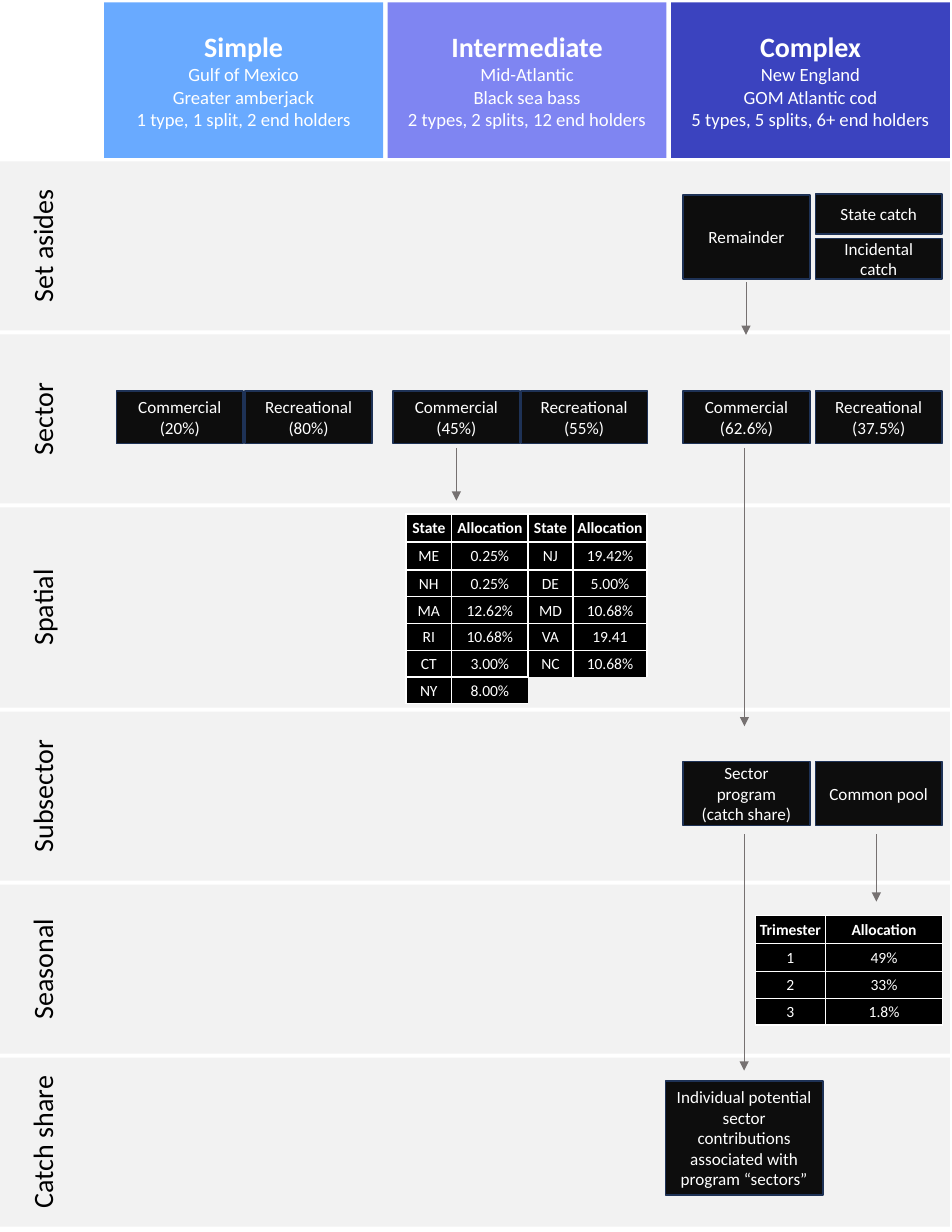
from lxml.etree import SubElement
from pptx import Presentation
from pptx.dml.color import RGBColor
from pptx.enum.shapes import MSO_CONNECTOR, MSO_SHAPE
from pptx.enum.text import MSO_ANCHOR, PP_ALIGN
from pptx.oxml.ns import qn
from pptx.util import Pt

FONT = "Calibri"
WHITE = RGBColor(0xFF, 0xFF, 0xFF)
BLACK = RGBColor(0x00, 0x00, 0x00)
SKY = RGBColor(0x69, 0xAA, 0xFF)
VIOLET = RGBColor(0x7F, 0x85, 0xF2)
INDIGO = RGBColor(0x3B, 0x43, 0xBF)
BAND = RGBColor(0xF2, 0xF2, 0xF2)
BOX = RGBColor(0x0D, 0x0D, 0x0D)
BOX_LINE = RGBColor(0x1E, 0x32, 0x56)
ARROW = RGBColor(0x76, 0x71, 0x71)

BAND_WIDTH = 610.6
BAND_GAP = 2.5
BOX_WIDTH = 81.4
SECTOR_TOP = 251.3
SUBSECTOR_TOP = 489.6
COMPLEX_LEFT, COMPLEX_RIGHT = 439.2, 524.2

HEADERS = [
    (SKY, ["Simple", "Gulf of Mexico", "Greater amberjack", "1 type, 1 split, 2 end holders"]),
    (VIOLET, ["Intermediate", "Mid-Atlantic", "Black sea bass", "2 types, 2 splits, 12 end holders"]),
    (INDIGO, ["Complex", "New England", "GOM Atlantic cod", "5 types, 5 splits, 6+ end holders"]),
]
BANDS = [("Set asides", 108.7), ("Sector", 108.7), ("Spatial", 128.9),
         ("Subsector", 108.7), ("Seasonal", 108.7), ("Catch share", 108.7)]
SECTORS = [(74.9, "Commercial (20%)"), (157.7, "Recreational (80%)"),
           (252.7, "Commercial (45%)"), (334.8, "Recreational (55%)"),
           (COMPLEX_LEFT, "Commercial (62.6%)"), (COMPLEX_RIGHT, "Recreational (37.5%)")]
BOXES = [
    (COMPLEX_LEFT, 125.3, BOX_WIDTH, 54, "Remainder"),
    (COMPLEX_RIGHT, 124.6, BOX_WIDTH, 26, "State catch"),
    (COMPLEX_RIGHT, 153.3, BOX_WIDTH, 26, "Incidental catch"),
    (COMPLEX_LEFT, SUBSECTOR_TOP, BOX_WIDTH, 41, "Sector program (catch share)"),
    (COMPLEX_RIGHT, SUBSECTOR_TOP, BOX_WIDTH, 41, "Common pool"),
    (427.7, 694.8, 101.4, 73.6,
     "Individual potential sector contributions associated with program “sectors”"),
]
ARROWS = [(293.4, 288, 321.8), (479.6, 181.4, 215.3), (478.6, 288, 466.9),
          (478.4, 536.4, 688.3), (563.4, 536.4, 579.6)]
STATES = [
    ["State", "Allocation", "State", "Allocation"],
    ["ME", "0.25%", "NJ", "19.42%"],
    ["NH", "0.25%", "DE", "5.00%"],
    ["MA", "12.62%", "MD", "10.68%"],
    ["RI", "10.68%", "VA", "19.41"],
    ["CT", "3.00%", "NC", "10.68%"],
    ["NY", "8.00%", "", ""],
]
TRIMESTERS = [["Trimester", "Allocation"], ["1", "49%"], ["2", "33%"], ["3", "1.8%"]]


def format_paragraph(paragraph, size, color=WHITE, bold=False):
    """Centre a paragraph and set its font."""
    paragraph.alignment = PP_ALIGN.CENTER
    font = paragraph.font
    font.name, font.size, font.bold = FONT, Pt(size), bold
    font.color.rgb = color


def add_rectangle(slide, left, top, width, height, fill):
    """Add a plain filled rectangle without an outline."""
    shape = slide.shapes.add_shape(
        MSO_SHAPE.RECTANGLE, Pt(left), Pt(top), Pt(width), Pt(height))
    shape.shadow.inherit = False
    shape.fill.solid()
    shape.fill.fore_color.rgb = fill
    shape.line.fill.background()
    return shape


def add_header(slide, left, fill, lines):
    """Add a column header with a bold heading over its details."""
    frame = add_rectangle(slide, left, 1.5, 179.3, 100, fill).text_frame
    frame.text = "\n".join(lines)
    for index, paragraph in enumerate(frame.paragraphs):
        format_paragraph(paragraph, 12 if index else 18, bold=index == 0)


def add_band(slide, top, height, label):
    """Add a grey band with a label turned to read upwards."""
    add_rectangle(slide, 0, top, BAND_WIDTH, height, BAND)
    text_height = 28.8
    text_box = slide.shapes.add_textbox(
        Pt(27 - height / 2), Pt(top + (height - text_height) / 2), Pt(height), Pt(text_height))
    text_box.rotation = 270
    frame = text_box.text_frame
    frame.word_wrap = True
    frame.text = label
    format_paragraph(frame.paragraphs[0], 18, BLACK)


def add_box(slide, left, top, width, height, text):
    """Add a dark outlined box for one allocation."""
    shape = add_rectangle(slide, left, top, width, height, BOX)
    shape.line.color.rgb = BOX_LINE
    shape.line.width = Pt(1)
    shape.text_frame.text = text
    format_paragraph(shape.text_frame.paragraphs[0], 11)


def add_arrow(slide, x, top, bottom):
    """Add a thin arrow pointing down."""
    connector = slide.shapes.add_connector(
        MSO_CONNECTOR.STRAIGHT, Pt(x), Pt(top), Pt(x), Pt(bottom))
    connector.line.color.rgb = ARROW
    connector.line.width = Pt(0.5)
    SubElement(connector.line._get_or_add_ln(), qn("a:tailEnd"), type="triangle")
    SubElement(connector._element.spPr, qn("a:effectLst"))


def format_cell(cell, text, bold):
    """Fill a cell, or blend an empty one into the band."""
    cell.margin_left = cell.margin_top = cell.margin_right = Pt(0.72)
    cell.margin_bottom = 0
    cell.vertical_anchor = MSO_ANCHOR.MIDDLE
    cell.text = text
    format_paragraph(cell.text_frame.paragraphs[0], 10, bold=bold)
    if not text:
        properties = cell._tc.get_or_add_tcPr()
        for side in ("a:lnL", "a:lnR", "a:lnT", "a:lnB"):
            SubElement(SubElement(properties, qn(side)), qn("a:noFill"))
    cell.fill.solid()
    cell.fill.fore_color.rgb = BLACK if text else BAND


def add_allocation_table(slide, left, top, widths, rows):
    """Add a black table with a bold header row."""
    heights = [18, 18] + [17.2] * (len(rows) - 2)
    table = slide.shapes.add_table(
        len(rows), len(widths), Pt(left), Pt(top), Pt(sum(widths)), Pt(sum(heights))).table
    table.horz_banding = False
    for column, width in zip(table.columns, widths):
        column.width = Pt(width)
    for row_index, (row, height) in enumerate(zip(table.rows, heights)):
        row.height = Pt(height)
        for cell, text in zip(row.cells, rows[row_index]):
            format_cell(cell, text, row_index == 0)


def main():
    """Build the allocation comparison slide."""
    presentation = Presentation()
    presentation.slide_width, presentation.slide_height = Pt(612), Pt(792)
    slide = presentation.slides.add_slide(presentation.slide_layouts[6])
    for index, (fill, lines) in enumerate(HEADERS):
        add_header(slide, 67 + index * 182.2, fill, lines)
    top = 103.7
    for label, height in BANDS:
        add_band(slide, top, height, label)
        top += height + BAND_GAP
    for left, text in SECTORS:
        add_box(slide, left, SECTOR_TOP, BOX_WIDTH, 34, text)
    for box in BOXES:
        add_box(slide, *box)
    add_allocation_table(slide, 260.9, 330.5, [29.5, 49, 29, 47.5], STATES)
    add_allocation_table(slide, 485.6, 588.5, [45, 75.4], TRIMESTERS)
    for arrow in ARROWS:
        add_arrow(slide, *arrow)
    presentation.save("out.pptx")


if __name__ == "__main__":
    main()
